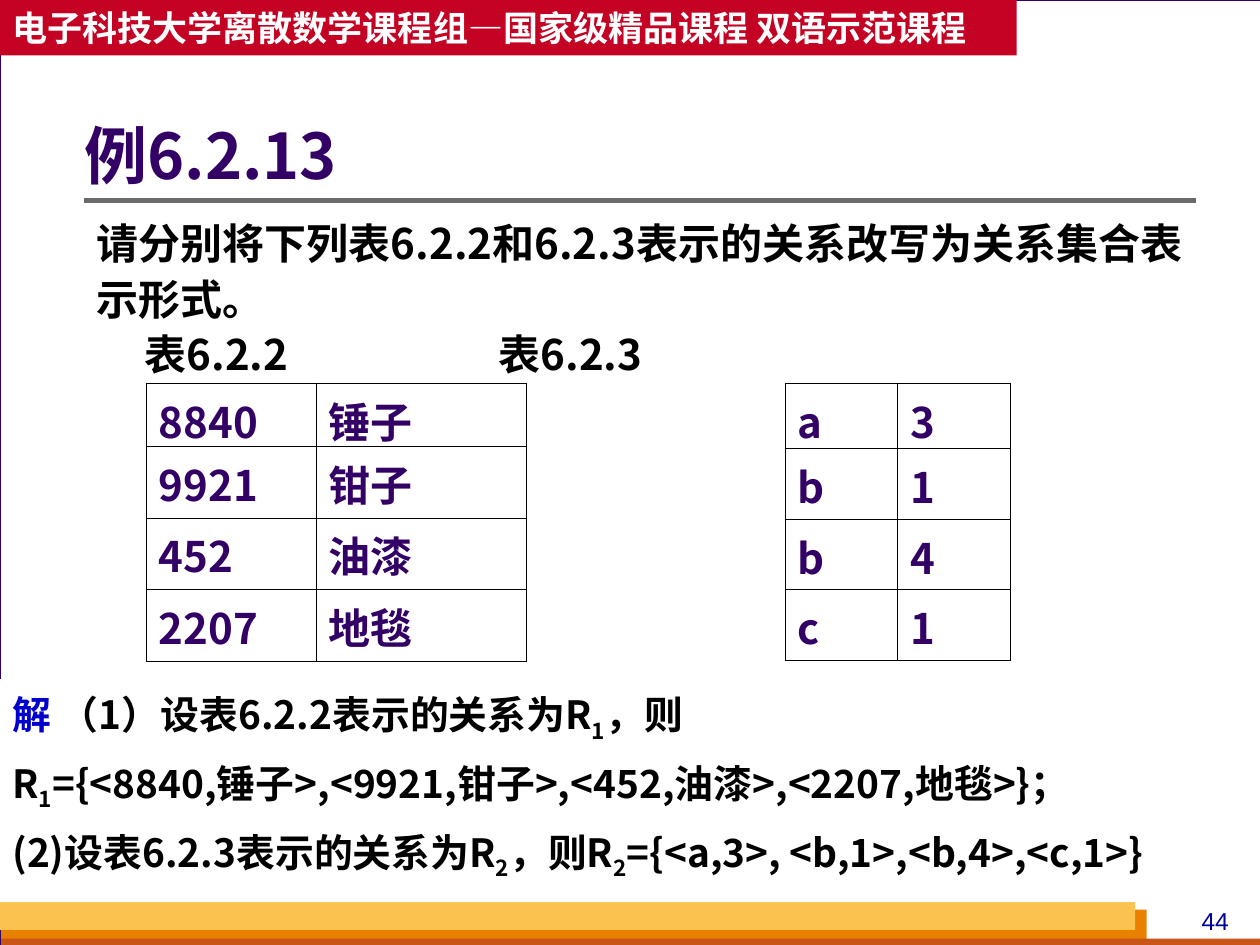
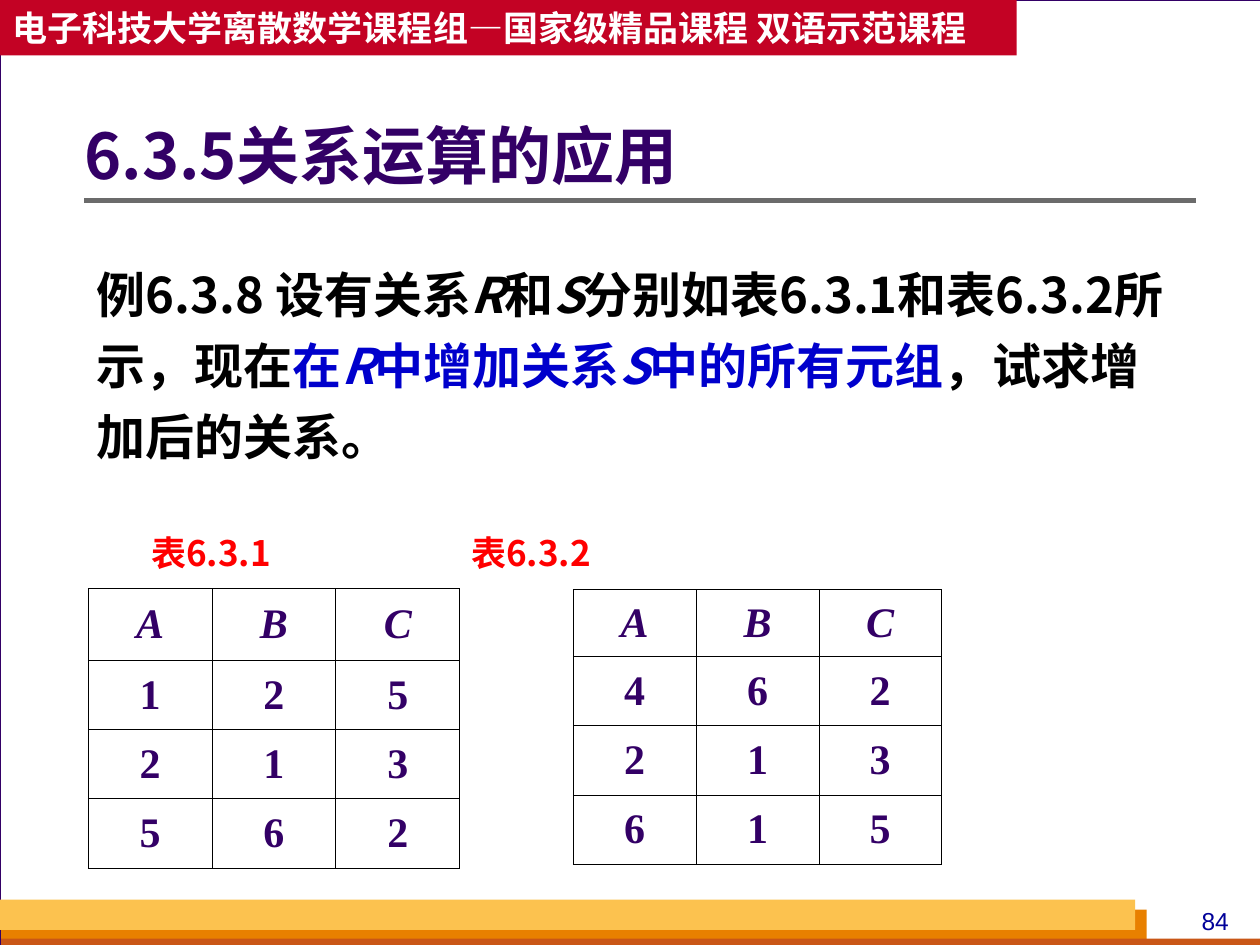
from lxml import etree
from pptx import Presentation
from pptx import util as u
from pptx.dml.color import RGBColor
from pptx.enum import shapes, text
from pptx.oxml import ns

COLOURS = {
    "backdrop": "D8DADA", "white": "FFFFFF", "black": "000000",
    "purple": "330066", "blue": "0000CC", "navy": "000099", "red": "FF0000",
    "crimson": "C30224", "grey": "6B6B6B",
    "orange": "E88000", "rust": "C95616", "amber": "FCC24F",
}
SANS, SERIF, NUMERALS = "Noto Sans CJK SC", "Times New Roman", "Arial"
COLUMNS, ROWS = 100, 75
COURSE = "电子科技大学离散数学课程组—国家级精品课程 双语示范课程"


class Deck:
    """Holds the deck style and the current slide, measured on a 100 by 75 grid."""

    def __init__(self):
        self.prs = Presentation()
        self.prs.slide_width, self.prs.slide_height = u.Inches(10), u.Inches(7.5)
        self.s = None

    def x(self, columns):
        return u.Emu(round(self.prs.slide_width * columns / COLUMNS))

    def y(self, rows):
        return u.Emu(round(self.prs.slide_height * rows / ROWS))

    def box(self, at):
        left, top, width, height = at
        return self.x(left), self.y(top), self.x(width), self.y(height)

    def colour(self, name):
        return RGBColor.from_string(COLOURS[name])

    def slide(self, title, number):
        self.s = self.prs.slides.add_slide(self.prs.slide_layouts[6])
        fill = self.s.background.fill
        fill.solid()
        fill.fore_color.rgb = self.colour("backdrop")
        self.rect((0, 0, 100.1, 75), "white", "purple")
        self.rect((0.1, 72.2, 90.9, 2.8), "orange")
        self.rect((0.1, 74.5, 99.9, 0.5), "rust")
        self.rect((0, 71.4, 90.1, 2.4), "amber")
        self.text((93.3, 71.4, 6.3, 3.4), [[str(number)]], 14, "navy",
                  font=NUMERALS, bold=False, align="CENTER")
        self.line((6.7, 15.9), (94.9, 15.9), "grey", 3)
        banner = self.rect((0, 0, 80.7, 4.4), "crimson")
        self.set_text(banner.text_frame, [[COURSE]], 20, "white", anchor="MIDDLE")
        heading = self.text((6.7, 7.6, 88.2, 10.1), [[title]], 36, "purple",
                            spacing=0.9, anchor="MIDDLE")
        heading.text_frame.margin_left = 0

    def rect(self, at, fill, line=None):
        sp = self.s.shapes.add_shape(shapes.MSO_SHAPE.RECTANGLE, *self.box(at))
        sp.shadow.inherit = False
        sp.fill.solid()
        sp.fill.fore_color.rgb = self.colour(fill)
        if line:
            sp.line.color.rgb = self.colour(line)
            sp.line.width = u.Pt(0.75)
        else:
            sp.line.fill.background()
        return sp

    def line(self, start, end, colour, width):
        cxn = self.s.shapes.add_connector(
            shapes.MSO_CONNECTOR.STRAIGHT, self.x(start[0]), self.y(start[1]),
            self.x(end[0]), self.y(end[1]))
        cxn.line.color.rgb = self.colour(colour)
        cxn.line.width = u.Pt(width)
        etree.SubElement(cxn._element.spPr, ns.qn("a:effectLst"))

    def text(self, at, paragraphs, size, colour, **style):
        sp = self.s.shapes.add_textbox(*self.box(at))
        self.set_text(sp.text_frame, paragraphs, size, colour, **style)
        return sp

    def set_text(self, tf, paragraphs, size, colour, font=SANS, bold=True, italic=False,
                 align="LEFT", anchor="TOP", spacing=None, before=0, tabs=()):
        tf.word_wrap = True
        tf.vertical_anchor = text.MSO_ANCHOR[anchor]
        for i, runs in enumerate(paragraphs):
            p = tf.add_paragraph() if i else tf.paragraphs[0]
            p.alignment = text.PP_ALIGN[align]
            if spacing:
                p.line_spacing = spacing
            if i and before:
                p.space_before = u.Pt(before)
            if tabs:
                self.tab_stops(p, tabs)
            f = p.font
            f.size, f.bold, f.italic, f.name = u.Pt(size), bold, italic, font
            f.color.rgb = self.colour(colour)
            etree.SubElement(p._p.pPr.find(ns.qn("a:defRPr")), ns.qn("a:ea"), typeface=font)
            for run in runs:
                self.run(p, *((run,) if isinstance(run, str) else run))

    def run(self, p, words, marks=""):
        r = p.add_run()
        r.text = words
        for mark in marks.split():
            if mark == "italic":
                r.font.italic = True
            elif mark == "sub":
                r._r.get_or_add_rPr().set("baseline", "-25000")
            else:
                r.font.color.rgb = self.colour(mark)

    def tab_stops(self, p, stops):
        tab_list = etree.SubElement(p._p.get_or_add_pPr(), ns.qn("a:tabLst"))
        for stop in stops:
            etree.SubElement(tab_list, ns.qn("a:tab"), pos=str(self.x(stop)), algn="l")

    def table(self, at, widths, heights, rows, fill=None, header=False, **style):
        frame = self.s.shapes.add_table(len(rows), len(widths), *self.box(at))
        table = frame.table
        table.first_row = table.horz_banding = False
        for column, width in zip(table.columns, widths):
            column.width = self.x(width)
        for row, height in zip(table.rows, heights):
            row.height = self.y(height)
        for i, values in enumerate(rows):
            for j, value in enumerate(values):
                cell = table.cell(i, j)
                self.set_text(cell.text_frame, [[value]], 24, "purple",
                              italic=header and i == 0, **style)
                cell.vertical_anchor = text.MSO_ANCHOR[style.get("anchor", "TOP")]
                self.borders(cell)
                if fill:
                    cell.fill.solid()
                    cell.fill.fore_color.rgb = self.colour(fill)
                else:
                    cell.fill.background()

    def borders(self, cell):
        tc_pr = cell._tc.get_or_add_tcPr()
        for side in "LRTB":
            ln = etree.SubElement(tc_pr, ns.qn(f"a:ln{side}"), w=str(u.Pt(0.45)))
            solid = etree.SubElement(ln, ns.qn("a:solidFill"))
            etree.SubElement(solid, ns.qn("a:srgbClr"), val=COLOURS["black"])


def table_relations(deck):
    deck.slide("例6.2.13", 44)
    deck.text((6.7, 16.4, 89.1, 14.3),
              [["请分别将下列表6.2.2和6.2.3表示的关系改写为关系集合表示形式。"],
               ["\t表6.2.2\t表6.2.3"]],
              24, "black", spacing=1.1, tabs=(3.8, 31.9))
    deck.table((11.6, 30.4, 30.2, 22.1), (13.5, 16.7), (5, 5.7, 5.7, 5.7),
               [("8840", "锤子"), ("9921", "钳子"), ("452", "油漆"), ("2207", "地毯")],
               fill="white")
    deck.table((62.3, 30.4, 17.9, 22), (8.95, 8.95), (5.2, 5.6, 5.6, 5.6),
               ["a3", "b1", "b4", "c1"], fill="white")
    answer = deck.rect((0, 53.9, 100, 17.7), "white")
    deck.set_text(answer.text_frame, [
        [("解", "blue"), " （1）设表6.2.2表示的关系为R", ("1", "sub"), "，则"],
        ["R", ("1", "sub"), "={<8840,锤子>,<9921,钳子>,<452,油漆>,<2207,地毯>}；"],
        ["(2)设表6.2.3表示的关系为R", ("2", "sub"), "，则R", ("2", "sub"),
         "={<a,3>, <b,1>,<b,4>,<c,1>}"],
    ], 22.2, "black", spacing=1.1, before=6)


def relation_operations(deck):
    deck.slide("6.3.5关系运算的应用", 84)
    deck.text((6.7, 19.6, 87, 50.2), [[
        "例6.3.8 设有关系", ("R", "italic"), "和", ("S", "italic"),
        "分别如表6.3.1和表6.3.2所示，现在", ("在", "blue"), ("R", "italic blue"),
        ("中增加关系", "blue"), ("S", "italic blue"), ("中的所有元组", "blue"),
        "，试求增加后的关系。",
    ]], 28, "black", spacing=1.2)
    centred = dict(header=True, font=SERIF, align="CENTER", anchor="MIDDLE")
    deck.table((45.5, 46.8, 29.2, 21.8), (9.75, 9.75, 9.7), (5.3, 5.5, 5.5, 5.5),
               ["ABC", "462", "213", "615"], **centred)
    deck.table((7, 46.7, 29.5, 22.2), (9.83, 9.83, 9.83), (5.7, 5.5, 5.5, 5.5),
               ["ABC", "125", "213", "562"], **centred)
    deck.text((11, 41.7, 61.5, 3.2), [["表6.3.1\t表6.3.2"]], 20, "red", tabs=(25.4,))


def main():
    deck = Deck()
    table_relations(deck)
    relation_operations(deck)
    deck.prs.save("out.pptx")


if __name__ == "__main__":
    main()
